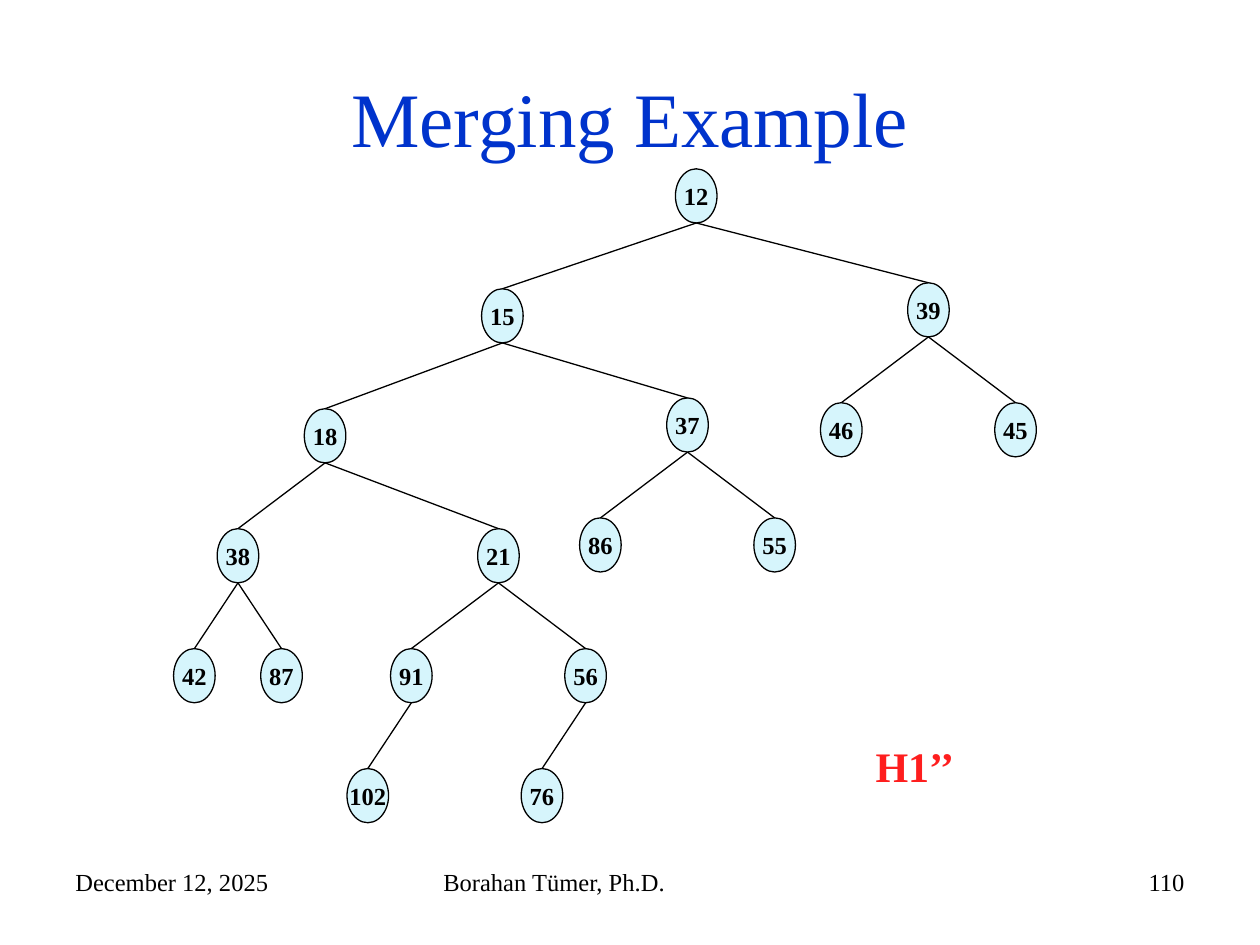
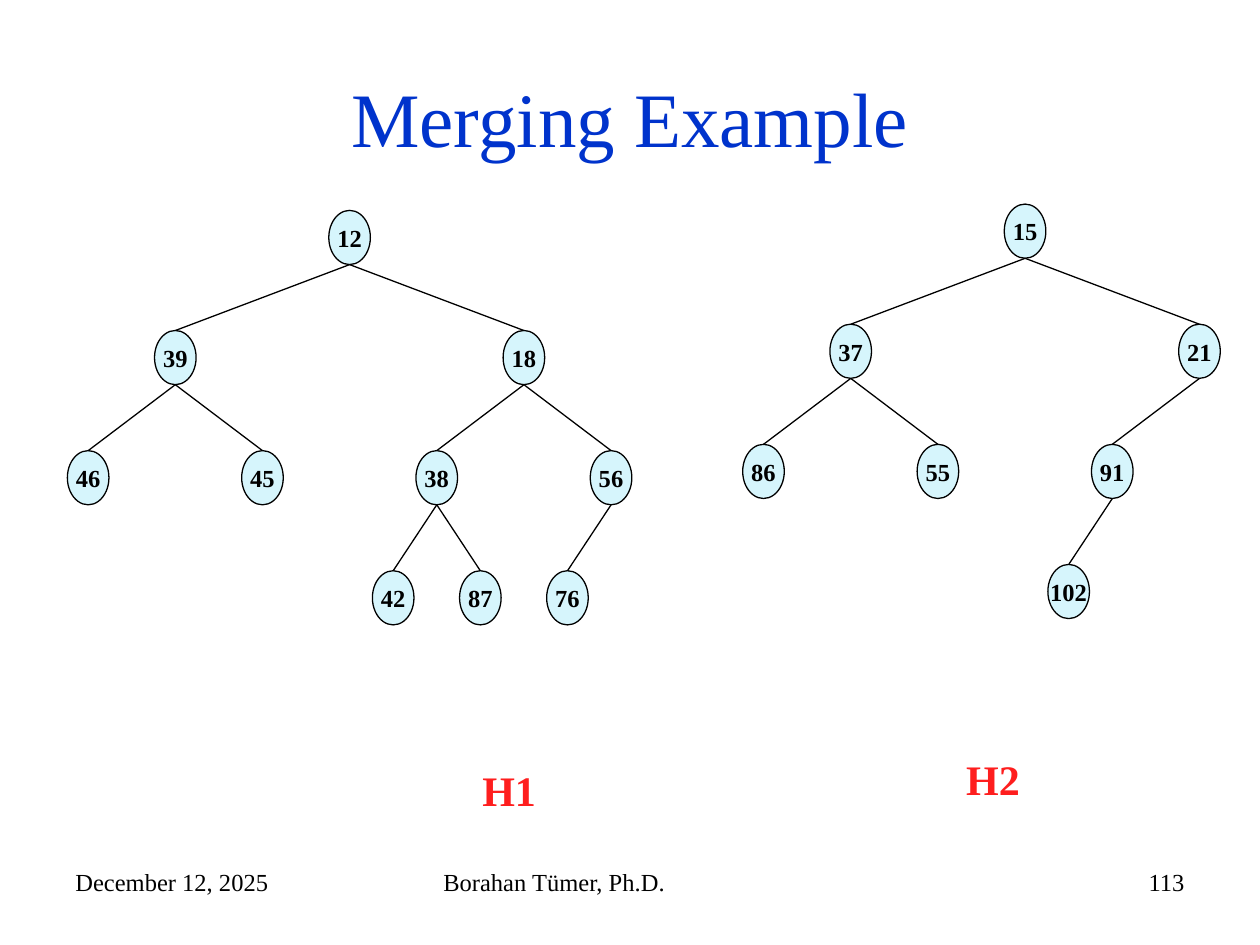
from pptx import Presentation
from pptx.dml.color import RGBColor
from pptx.enum.shapes import MSO_CONNECTOR, MSO_SHAPE
from pptx.enum.text import MSO_ANCHOR, PP_ALIGN
from pptx.oxml.ns import qn
from pptx.util import Inches, Pt
from lxml import etree

OVAL, STRAIGHT = MSO_SHAPE.OVAL, MSO_CONNECTOR.STRAIGHT
LEFT, CENTER, RIGHT = PP_ALIGN.LEFT, PP_ALIGN.CENTER, PP_ALIGN.RIGHT
TOP, MIDDLE = MSO_ANCHOR.TOP, MSO_ANCHOR.MIDDLE

BLACK = RGBColor(0x00, 0x00, 0x00)
BLUE = RGBColor(0x00, 0x33, 0xCC)
RED = RGBColor(0xFE, 0x1E, 0x1E)
PALE = RGBColor(0xD6, 0xF5, 0xFC)

WIDTH, HEIGHT = Inches(10), Inches(7.5)
GRID_COLS, GRID_ROWS = 100, 75
COL, ROW = WIDTH / GRID_COLS, HEIGHT / GRID_ROWS
NODE_W, NODE_H = 3.3, 4.3
TREE_TOP_LINK = 0
LINE_WIDTH = Pt(0.75)

TITLE = {"name": "Times New Roman", "size": Pt(44), "bold": False}
FOOTER = {"name": "Times New Roman", "size": Pt(14), "bold": False}
KEY = {"name": "Times New Roman", "size": Pt(14), "bold": True}
LABEL = {"name": "Times New Roman", "size": Pt(24), "bold": True}

TITLE_BOX = (5, 3, 90, 12.5)
FOOTER_TOP, FOOTER_H = 68.3, 5.2


def place(box):
    left, top, width, height = box
    return (round(left * COL), round(top * ROW),
            round(width * COL), round(height * ROW))


def write(sp, text, fmt, color, align=LEFT, anchor=TOP, wrap=True):
    tf = sp.text_frame
    tf.word_wrap = wrap
    tf.vertical_anchor = anchor
    p = tf.paragraphs[0]
    p.alignment = align
    r = p.add_run()
    r.text = text
    for name, value in fmt.items():
        setattr(r.font, name, value)
    r.font.color.rgb = color


def add_text(s, box, text, fmt, color, align=LEFT):
    write(s.shapes.add_textbox(*place(box)), text, fmt, color, align)


def add_title(s, box, text):
    sp = s.shapes.title
    sp.left, sp.top, sp.width, sp.height = place(box)
    write(sp, text, TITLE, BLUE, CENTER, MIDDLE)


def add_footer(s, top, number):
    parts = ((5, 23.3, "December 12, 2025", LEFT),
             (34.2, 31.7, "Borahan Tümer, Ph.D.", LEFT),
             (71.7, 23.3, number, RIGHT))
    for left, width, text, align in parts:
        add_text(s, (left, top, width, FOOTER_H), text, FOOTER, BLACK, align)


def add_node(s, x, y, key):
    sp = s.shapes.add_shape(OVAL, *place((x - NODE_W / 2, y, NODE_W, NODE_H)))
    sp.shadow.inherit = False
    sp.fill.solid()
    sp.fill.fore_color.rgb = PALE
    sp.line.color.rgb = BLACK
    sp.line.width = LINE_WIDTH
    tf = sp.text_frame
    for side in ("left", "top", "right", "bottom"):
        setattr(tf, f"margin_{side}", 0)
    write(sp, str(key), KEY, BLACK, CENTER, MIDDLE, False)
    return sp


def add_edge(s, parent, child):
    x, y = parent.left + parent.width // 2, parent.top + parent.height
    cx = s.shapes.add_connector(STRAIGHT, x, y, child.left, child.top)
    cx.end_connect(child, TREE_TOP_LINK)
    cx.line.color.rgb = BLACK
    cx.line.width = LINE_WIDTH
    etree.SubElement(cx._element.spPr, qn("a:effectLst"))


def add_tree(s, box, cols, rows, root):
    left, top, width, height = box
    step_x, step_y = width / cols, height / rows

    def grow(node, x, y, parent=None):
        key, dx, dy, *children = node
        x, y = x + dx * step_x, y + dy * step_y
        sp = add_node(s, x, y, key)
        if parent is not None:
            add_edge(s, parent, sp)
        for child in children:
            grow(child, x, y, sp)

    grow(root, left, top)


def leaf_pair(first, second, spread):
    return (first, -spread, 1), (second, spread, 1)


def add_heap_slide(prs, number, heaps):
    s = prs.slides.add_slide(prs.slide_layouts[5])
    add_title(s, TITLE_BOX, "Merging Example")
    add_footer(s, FOOTER_TOP, number)
    for box, cols, rows, root, label, label_box in heaps:
        add_tree(s, box, cols, rows, root)
        add_text(s, label_box, label, LABEL, RED)


NODE_38 = (38, -2, 1, *leaf_pair(42, 87, 1))
NODE_56 = (56, 2, 1, (76, -1, 1))
NODE_91 = (91, -2, 1, (102, -1, 1))

MERGED = (12, 11.5, 0,
          (15, -4.45, 1,
           (18, -4.07, 1, NODE_38, (21, 3.98, 1, NODE_91, NODE_56)),
           (37, 4.25, 0.91, *leaf_pair(86, 55, 2))),
          (39, 5.33, 0.95, *leaf_pair(46, 45, 2)))
FIRST = (12, 6, 0,
         (39, -4, 1, *leaf_pair(46, 45, 2)),
         (18, 4, 1, NODE_38, NODE_56))
SECOND = (15, 6, 0,
          (37, -4, 1, *leaf_pair(86, 55, 2)),
          (21, 4, 1, NODE_91))


def main():
    prs = Presentation()
    prs.slide_width, prs.slide_height = WIDTH, HEIGHT
    add_heap_slide(prs, "110", [
        ((15.5, 13.4, 65, 47.6), 18.8, 5, MERGED, "H1’’", (68.5, 58.3, 11.2, 5))])
    add_heap_slide(prs, "113", [
        ((7, 16.7, 41.5, 28.6), 12, 3, FIRST, "H1", (37.3, 60.2, 7.7, 5)),
        ((60.6, 16.2, 34.6, 28.6), 10, 3, SECOND, "H2", (75.7, 59.3, 7.7, 5))])
    prs.save("out.pptx")


if __name__ == "__main__":
    main()
